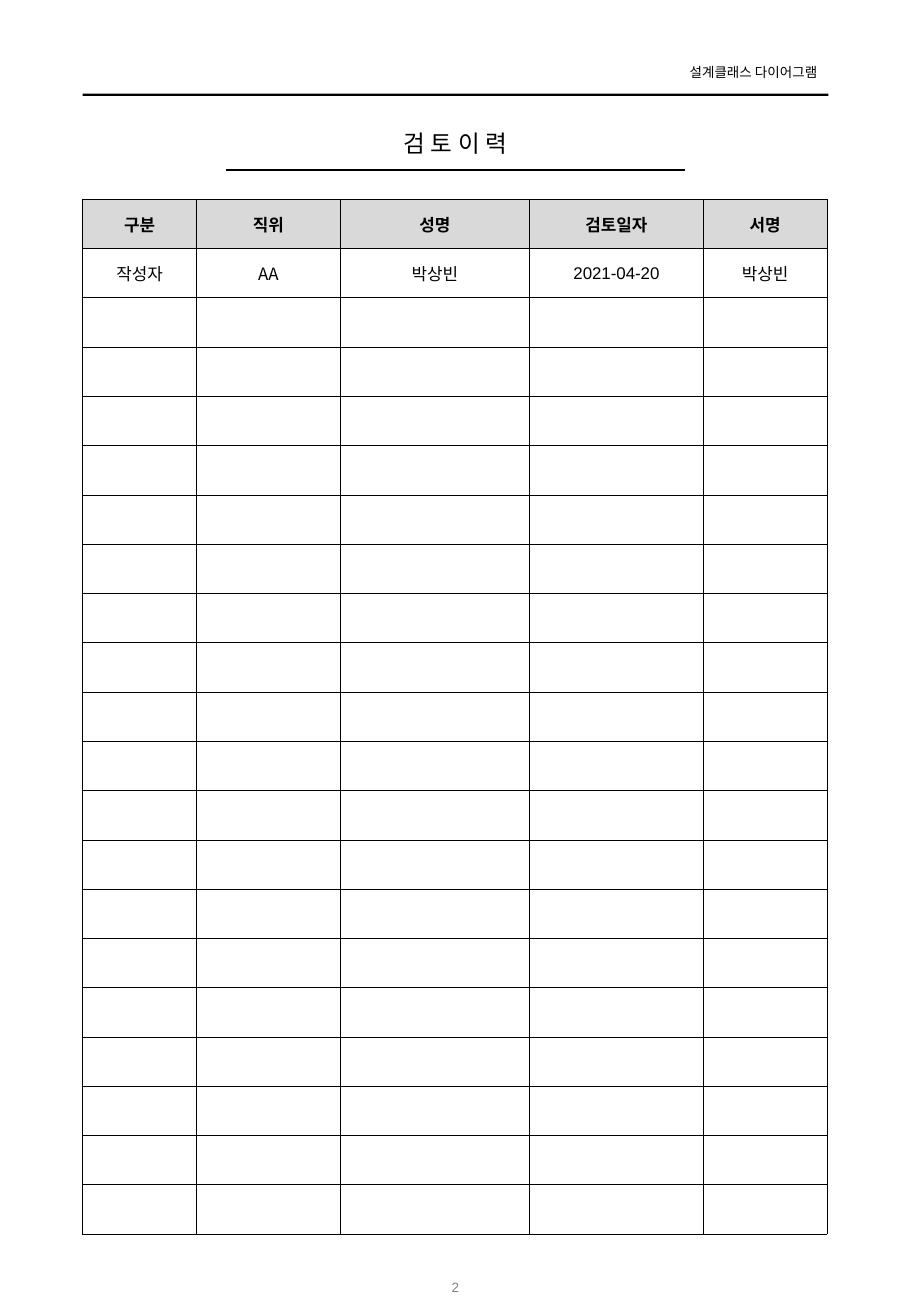
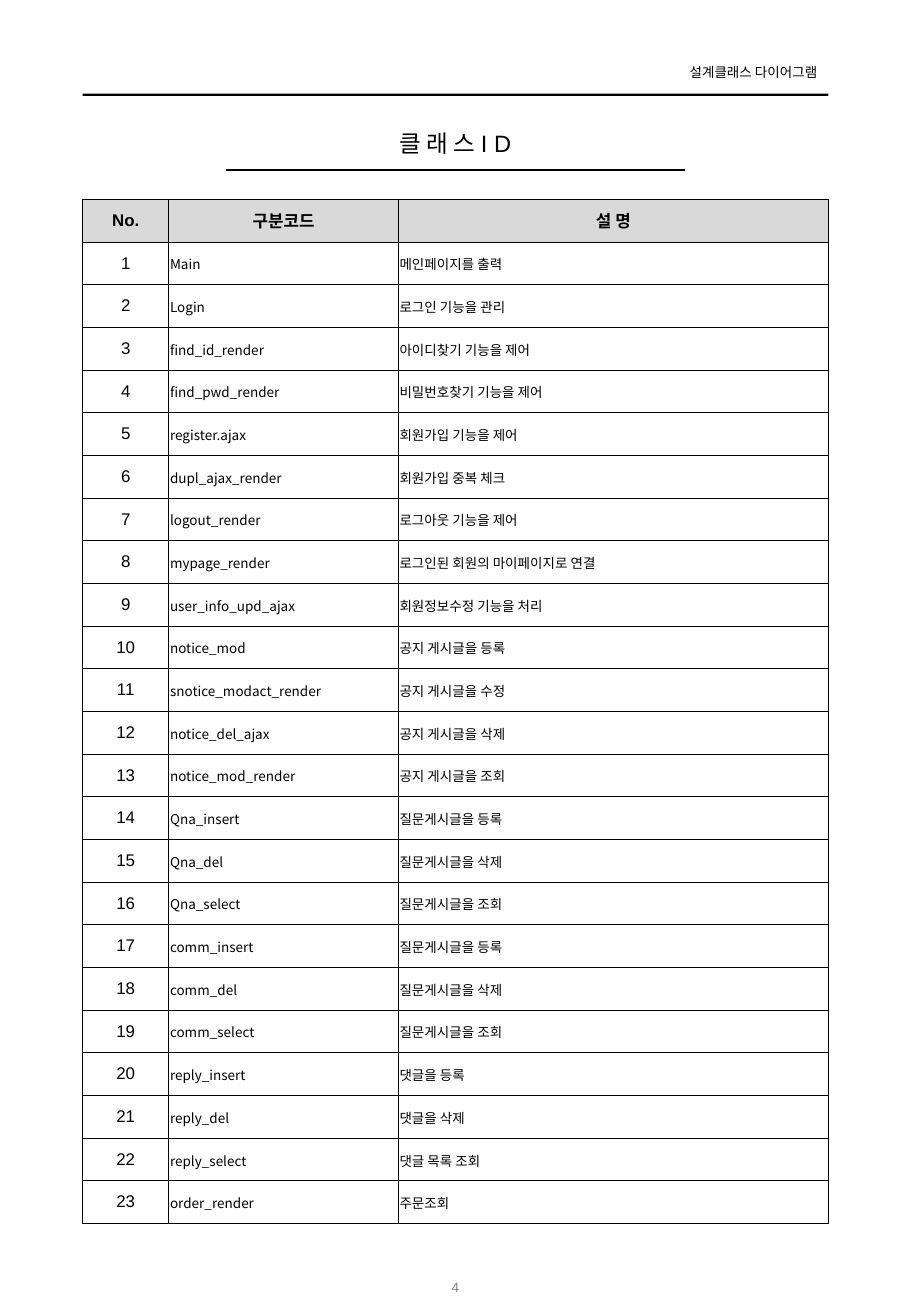
from dataclasses import dataclass

from lxml.etree import SubElement
from pptx import Presentation
from pptx.dml.color import RGBColor
from pptx.enum.shapes import MSO_CONNECTOR, MSO_SHAPE
from pptx.enum.text import MSO_ANCHOR as Anchor, MSO_AUTO_SIZE as AutoSize, PP_ALIGN as Align
from pptx.oxml.ns import qn
from pptx.util import Inches, Pt

# Shared style
BLACK, GRAY, HEADER_FILL = "000000", "808080", "D9D9D9"
LATIN, KOREAN = "Arial", "Noto Sans CJK KR"
LEFT, WIDTH, TABLE_TOP = 0.68, 6.14, 1.64
BORDER_SIDES = ("a:lnL", "a:lnR", "a:lnT", "a:lnB")


@dataclass(frozen=True)
class Column:
    heading: str
    width: float
    font: str = LATIN
    size: float = 10
    align: Align = Align.CENTER
    tight: bool = False  # body text sits close to the cell edge


@dataclass(frozen=True)
class Page:
    title: str
    number: int
    columns: list[Column]
    rows: list[tuple[str, ...]]
    table_height: float


def color(value: str) -> RGBColor:
    return RGBColor.from_string(value)


def write(frame, text: str, *, size: float = 10, font: str = LATIN, fill: str = BLACK,
          bold: bool = False, align: Align = Align.CENTER) -> None:
    paragraph = frame.paragraphs[0]
    paragraph.alignment = align
    run = paragraph.add_run()
    run.text = text
    run.font.size, run.font.name, run.font.bold = Pt(size), font, bold
    run.font.color.rgb = color(fill)
    SubElement(run.font._element, qn("a:ea")).set("typeface", KOREAN)


def set_insets(frame, left: float, top: float, right: float, bottom: float) -> None:
    frame.margin_left, frame.margin_top = Inches(left), Inches(top)
    frame.margin_right, frame.margin_bottom = Inches(right), Inches(bottom)


def add_title(slide, text: str) -> None:
    title = slide.shapes.title
    title.left, title.top = Inches(LEFT), Inches(1.01)
    title.width, title.height = Inches(WIDTH), Inches(0.34)
    frame = title.text_frame
    frame.word_wrap, frame.auto_size = True, AutoSize.SHAPE_TO_FIT_TEXT
    frame.vertical_anchor = Anchor.TOP
    set_insets(frame, 0, 0.05, 0, 0.05)
    write(frame, text, size=14)


def add_page_frame(slide, number: int) -> None:
    # Header band and document name
    band = slide.shapes.add_shape(MSO_SHAPE.RECTANGLE, Inches(LEFT), Inches(0.77),
                                  Inches(WIDTH), Inches(0.02))
    band.shadow.inherit = False
    band.fill.solid()
    band.fill.fore_color.rgb = color(BLACK)
    band.line.fill.background()
    header = slide.shapes.add_textbox(Inches(5.47), Inches(0.48), Inches(1.34), Inches(0.24))
    frame = header.text_frame
    frame.word_wrap, frame.auto_size = False, AutoSize.SHAPE_TO_FIT_TEXT
    set_insets(frame, 0.1, 0.05, 0.08, 0.05)
    write(frame, "설계클래스 다이어그램", size=8, align=Align.RIGHT)

    # Rule under the title
    rule = slide.shapes.add_connector(MSO_CONNECTOR.STRAIGHT, Inches(1.86), Inches(1.4),
                                      Inches(5.64), Inches(1.4))
    rule.line.color.rgb = color(BLACK)
    rule.line.width = Pt(1)
    SubElement(rule._element.spPr, qn("a:effectLst"))

    # Page number
    footer = slide.shapes.add_textbox(Inches(3.28), Inches(10.39), Inches(0.94), Inches(0.4))
    footer.text_frame.word_wrap = True
    footer.text_frame.vertical_anchor = Anchor.MIDDLE
    write(footer.text_frame, str(number), size=8, fill=GRAY)


def add_borders(cell) -> None:
    properties = cell._tc.get_or_add_tcPr()
    for side in BORDER_SIDES:
        line = SubElement(properties, qn(side), w=str(Pt(0.5)))
        fill = SubElement(line, qn("a:solidFill"))
        SubElement(fill, qn("a:srgbClr"), val=BLACK)


def add_grid(slide, page: Page) -> None:
    row_count = len(page.rows) + 1
    table = slide.shapes.add_table(row_count, len(page.columns), Inches(LEFT), Inches(TABLE_TOP),
                                   Inches(WIDTH), Inches(page.table_height)).table
    table.first_row = table.horz_banding = False
    for row in table.rows:
        row.height = Inches(page.table_height / row_count)
    for index, column in enumerate(page.columns):
        table.columns[index].width = Inches(column.width)
        texts = [column.heading] + [row[index] for row in page.rows]
        for row_index, text in enumerate(texts):
            cell = table.cell(row_index, index)
            cell.vertical_anchor = Anchor.MIDDLE
            add_borders(cell)
            if row_index == 0:
                cell.fill.solid()
                cell.fill.fore_color.rgb = color(HEADER_FILL)
                write(cell.text_frame, text, bold=True)
                continue
            cell.fill.background()
            if column.tight:
                set_insets(cell, 0.01, 0.01, 0.01, 0)
            if text:
                write(cell.text_frame, text, size=column.size, font=column.font,
                      align=column.align)


# Page contents
REVIEW_COLUMNS = [
    Column("구분", 0.94),
    Column("직위", 1.18, KOREAN),
    Column("성명", 1.56, KOREAN),
    Column("검토일자", 1.43),
    Column("서명", 1.02, KOREAN),
]
REVIEWS = [("작성자", "AA", "박상빈", "2021-04-20", "박상빈")] + [("",) * 5] * 19

CLASS_COLUMNS = [
    Column("No.", 0.71),
    Column("구분코드", 1.89, KOREAN, 8, Align.LEFT, True),
    Column("설 명", 3.54, KOREAN, 8, Align.LEFT, True),
]
CLASSES = [
    ("Main", "메인페이지를 출력"),
    ("Login", "로그인 기능을 관리"),
    ("find_id_render", "아이디찾기 기능을 제어"),
    ("find_pwd_render", "비밀번호찾기 기능을 제어"),
    ("register.ajax", "회원가입 기능을 제어"),
    ("dupl_ajax_render", "회원가입 중복 체크"),
    ("logout_render", "로그아웃 기능을 제어"),
    ("mypage_render", "로그인된 회원의 마이페이지로 연결"),
    ("user_info_upd_ajax", "회원정보수정 기능을 처리"),
    ("notice_mod", "공지 게시글을 등록"),
    ("snotice_modact_render", "공지 게시글을 수정"),
    ("notice_del_ajax", "공지 게시글을 삭제"),
    ("notice_mod_render", "공지 게시글을 조회"),
    ("Qna_insert", "질문게시글을 등록"),
    ("Qna_del", "질문게시글을 삭제"),
    ("Qna_select", "질문게시글을 조회"),
    ("comm_insert", "질문게시글을 등록"),
    ("comm_del", "질문게시글을 삭제"),
    ("comm_select", "질문게시글을 조회"),
    ("reply_insert", "댓글을 등록"),
    ("reply_del", "댓글을 삭제"),
    ("reply_select", "댓글 목록 조회"),
    ("order_render", "주문조회"),
]
CLASS_ROWS = [(str(number), *entry) for number, entry in enumerate(CLASSES, start=1)]

PAGES = [
    Page("검 토 이 력", 2, REVIEW_COLUMNS, REVIEWS, 8.52),
    Page("클 래 스 I D", 4, CLASS_COLUMNS, CLASS_ROWS, 8.43),
]

# Build the presentation
presentation = Presentation()
presentation.slide_width, presentation.slide_height = Inches(7.5), Inches(10.83)
title_only = presentation.slide_layouts[5]
for page in PAGES:
    slide = presentation.slides.add_slide(title_only)
    add_title(slide, page.title)
    add_page_frame(slide, page.number)
    add_grid(slide, page)
presentation.save("out.pptx")
